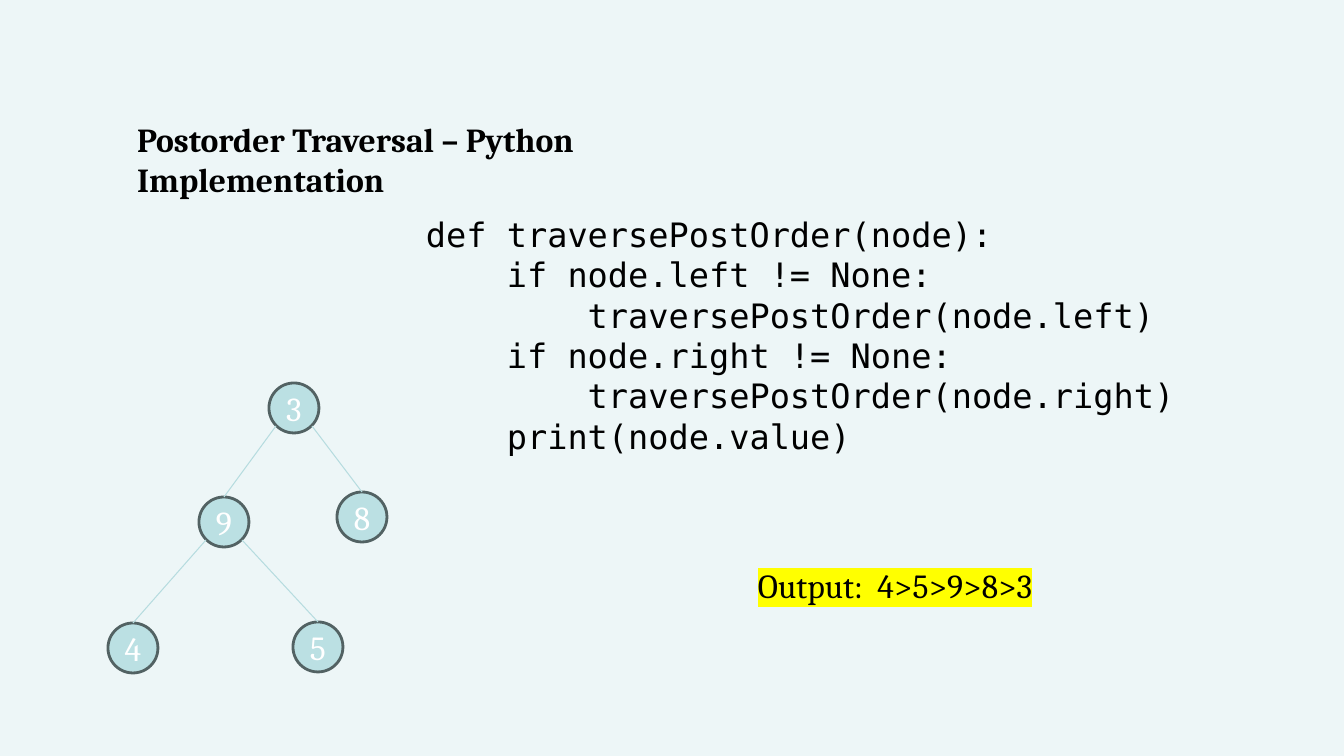
"""Build the slide on postorder traversal: title, code, output and tree."""
import pptx
import pptx.dml.color
import pptx.enum.shapes
import pptx.enum.text
import pptx.oxml
import pptx.oxml.ns
import pptx.util

PX = 12192000 // 1344 + 3 / 7
BACKGROUND = pptx.dml.color.RGBColor(0xED, 0xF6, 0xF7)
BLACK = pptx.dml.color.RGBColor(0x00, 0x00, 0x00)
WHITE = pptx.dml.color.RGBColor(0xFF, 0xFF, 0xFF)
NODE_FILL = pptx.dml.color.RGBColor(0xBB, 0xE0, 0xE3)
NODE_LINE = pptx.dml.color.RGBColor(0x52, 0x62, 0x63)
EDGE_LINE = pptx.dml.color.RGBColor(0xB6, 0xDC, 0xDF)

CODE = """def traversePostOrder(node):
    if node.left != None:
        traversePostOrder(node.left)
    if node.right != None:
        traversePostOrder(node.right)
    print(node.value)"""
NODES = {"3": (269, 383), "9": (199, 497), "8": (337, 492), "4": (108, 623), "5": (293, 622)}
EDGES = [("3", "9", -1), ("3", "8", 1), ("9", "4", -1), ("9", "5", 1)]
NODE_SIZE = 50
RADIUS = NODE_SIZE // 2
DIAGONAL = 18


def emu(*lengths):
    """Turn px lengths into EMU."""
    return [round(length * PX) for length in lengths]


def add_text(paragraph, text, color=BLACK, font_name="Cambria", bold=False):
    """Add one 24 pt run and return it."""
    run = paragraph.add_run()
    run.text = text
    run.font.size = pptx.util.Pt(24)
    run.font.name = font_name
    run.font.bold = bold
    run.font.color.rgb = color
    return run


presentation = pptx.Presentation()
presentation.slide_width, presentation.slide_height = emu(1344, 756)
slide = presentation.slides.add_slide(presentation.slide_layouts[5])
slide.background.fill.solid()
slide.background.fill.fore_color.rgb = BACKGROUND

title = slide.shapes.title
title.left, title.top, title.width, title.height = emu(127, 114, 700, 50)
title.text_frame.word_wrap = True
title.text_frame.auto_size = pptx.enum.text.MSO_AUTO_SIZE.NONE
title.text_frame.vertical_anchor = pptx.enum.text.MSO_ANCHOR.TOP
title_paragraph = title.text_frame.paragraphs[0]
title_paragraph.alignment = pptx.enum.text.PP_ALIGN.LEFT
add_text(title_paragraph, "Postorder Traversal – Python Implementation", bold=True)

code_box = slide.shapes.add_textbox(*emu(416, 209, 770, 254))
code_box.text_frame.word_wrap = True
code_paragraph = code_box.text_frame.paragraphs[0]
for index, line in enumerate(CODE.splitlines()):
    if index:
        code_paragraph.add_line_break()
    add_text(code_paragraph, line, font_name="DejaVu Sans Mono")

output_box = slide.shapes.add_textbox(*emu(748, 560, 311, 50))
output_box.text_frame.word_wrap = True
output_run = add_text(output_box.text_frame.paragraphs[0], "Output:  4>5>9>8>3")
highlight = pptx.oxml.parse_xml(
    f'<a:highlight {pptx.oxml.ns.nsdecls("a")}><a:srgbClr val="FFFF00"/></a:highlight>'
)
output_run.font.fill._xPr.find(pptx.oxml.ns.qn("a:solidFill")).addnext(highlight)

for value, (left, top) in NODES.items():
    node = slide.shapes.add_shape(
        pptx.enum.shapes.MSO_SHAPE.OVAL, *emu(left, top, NODE_SIZE, NODE_SIZE)
    )
    node.shadow.inherit = False
    node.fill.solid()
    node.fill.fore_color.rgb = NODE_FILL
    node.line.color.rgb = NODE_LINE
    node.line.width = pptx.util.Pt(2)
    node.text_frame.word_wrap = False
    node.text_frame.vertical_anchor = pptx.enum.text.MSO_ANCHOR.MIDDLE
    node_paragraph = node.text_frame.paragraphs[0]
    node_paragraph.alignment = pptx.enum.text.PP_ALIGN.CENTER
    add_text(node_paragraph, value, WHITE)

for parent, child, side in EDGES:
    parent_left, parent_top = NODES[parent]
    child_left, child_top = NODES[child]
    edge = slide.shapes.add_connector(
        pptx.enum.shapes.MSO_CONNECTOR.STRAIGHT,
        *emu(
            parent_left + RADIUS + side * DIAGONAL,
            parent_top + RADIUS + DIAGONAL,
            child_left + RADIUS,
            child_top,
        ),
    )
    edge.line.color.rgb = EDGE_LINE
    edge.line.width = pptx.util.Pt(0.75)
    edge._element.spPr.append(pptx.oxml.parse_xml(f'<a:effectLst {pptx.oxml.ns.nsdecls("a")}/>'))

presentation.save("out.pptx")
